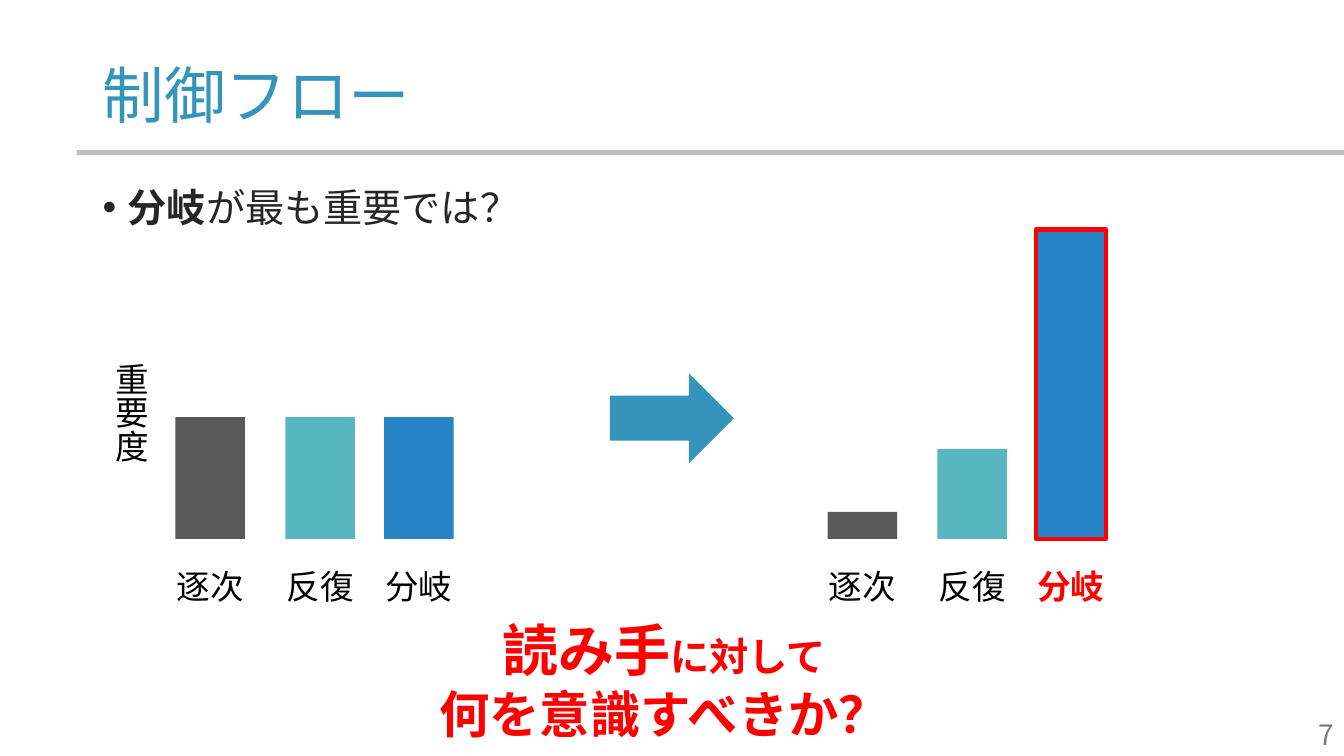
from lxml.etree import SubElement
from pptx import Presentation
from pptx.dml.color import RGBColor
from pptx.enum.shapes import MSO_SHAPE
from pptx.enum.text import MSO_ANCHOR, PP_ALIGN
from pptx.oxml.ns import qn
from pptx.util import Pt

FONT = "Noto Sans CJK JP"
TEAL_BLUE = RGBColor(0x34, 0x94, 0xBA)
AQUA = RGBColor(0x58, 0xB6, 0xC0)
BLUE = RGBColor(0x26, 0x83, 0xC6)
DARK_GRAY = RGBColor(0x59, 0x59, 0x59)
RULE_GRAY = RGBColor(0xBF, 0xBF, 0xBF)
NUMBER_GRAY = RGBColor(0x79, 0x79, 0x79)
BODY_GRAY = RGBColor(0x26, 0x26, 0x26)
BLACK = RGBColor(0, 0, 0)
RED = RGBColor(0xFF, 0, 0)

deck = Presentation()
deck.slide_width, deck.slide_height = Pt(960), Pt(540)
page = deck.slides.add_slide(deck.slide_layouts[6])


def add_text(lines, left, top, width, height, color=BLACK,
             align=PP_ALIGN.LEFT, anchor=MSO_ANCHOR.TOP, spacing=1.0):
    """Add a text box; each line is a list of (text, size, bold) spans."""
    box = page.shapes.add_textbox(Pt(left), Pt(top), Pt(width), Pt(height))
    frame = box.text_frame
    frame.word_wrap = True
    frame.vertical_anchor = anchor
    for index, spans in enumerate(lines):
        para = frame.add_paragraph() if index else frame.paragraphs[0]
        para.alignment = align
        para.line_spacing = spacing
        for text, size, bold in spans:
            span = para.add_run()
            span.text = text
            span.font.size = Pt(size)
            span.font.bold = bold
            span.font.name = FONT
            span.font.color.rgb = color
            SubElement(span.font._element, qn("a:ea"), typeface=FONT)
    return box


def add_block(kind, left, top, width, height, color):
    block = page.shapes.add_shape(kind, Pt(left), Pt(top), Pt(width), Pt(height))
    block.shadow.inherit = False
    block.fill.solid()
    block.fill.fore_color.rgb = color
    block.line.fill.background()
    return block


# Heading
add_block(MSO_SHAPE.RECTANGLE, 54.7, 107.3, 905.3, 3.6, RULE_GRAY)
title = add_text([[("制御フロー", 44, False)]], 66.2, 28.8, 828, 78.5,
                 color=TEAL_BLUE, anchor=MSO_ANCHOR.MIDDLE, spacing=0.9)
title.text_frame.margin_top = Pt(8.6)

# Bulleted question
question = add_text([[("分岐", 28, True), ("が最も重要では？", 28, False)]],
                    66.2, 131, 828, 355.7, color=BODY_GRAY, spacing=0.9)
bullet_para = question.text_frame.paragraphs[0]
bullet_para.space_before = Pt(10)
bullet_format = bullet_para._p.get_or_add_pPr()
bullet_format.set("marL", str(Pt(18)))
bullet_format.set("indent", str(Pt(-18)))
SubElement(bullet_format, qn("a:buFont"), typeface="Arial")
SubElement(bullet_format, qn("a:buChar"), char="•")

# Importance bars, before and after
BASELINE = 385
BAR_WIDTH, LABEL_WIDTH = 49.7, 64.8
STEPS = [("逐次", 0, DARK_GRAY), ("反復", 78.5, AQUA), ("分岐", 149, BLUE)]
for group_left, heights, stressed in [(125.3, (87, 87, 87), None),
                                      (591.1, (19.4, 64.4, 221), "分岐")]:
    for (name, offset, color), height in zip(STEPS, heights):
        left = group_left + offset
        stress = name == stressed
        bar = add_block(MSO_SHAPE.RECTANGLE, left, BASELINE - height,
                        BAR_WIDTH, height, color)
        if stress:
            bar.line.color.rgb = RED
            bar.line.width = Pt(3)
        add_text([[(name, 24, stress)]], left - (LABEL_WIDTH - BAR_WIDTH) / 2, 401,
                 LABEL_WIDTH, 36, color=RED if stress else BLACK,
                 align=PP_ALIGN.CENTER)

axis_label = add_text([[("重要度", 24, False)]], 67.7, 252, 43.9, 93.6)
axis_label.text_frame._txBody.bodyPr.set("vert", "eaVert")
add_block(MSO_SHAPE.RIGHT_ARROW, 435.6, 266.6, 88.6, 64.3, TEAL_BLUE)

# Closing question and page number
add_text([[("読み手", 40, True), ("に対して", 28, True)],
          [("何を意識すべきか？", 36, True)]],
         159.1, 436.3, 630.7, 99.4, color=RED, align=PP_ALIGN.CENTER)
add_text([[("7", 20, False)]], 743.8, 509.8, 216, 28.8, color=NUMBER_GRAY,
         align=PP_ALIGN.RIGHT, anchor=MSO_ANCHOR.MIDDLE)

deck.save("out.pptx")
